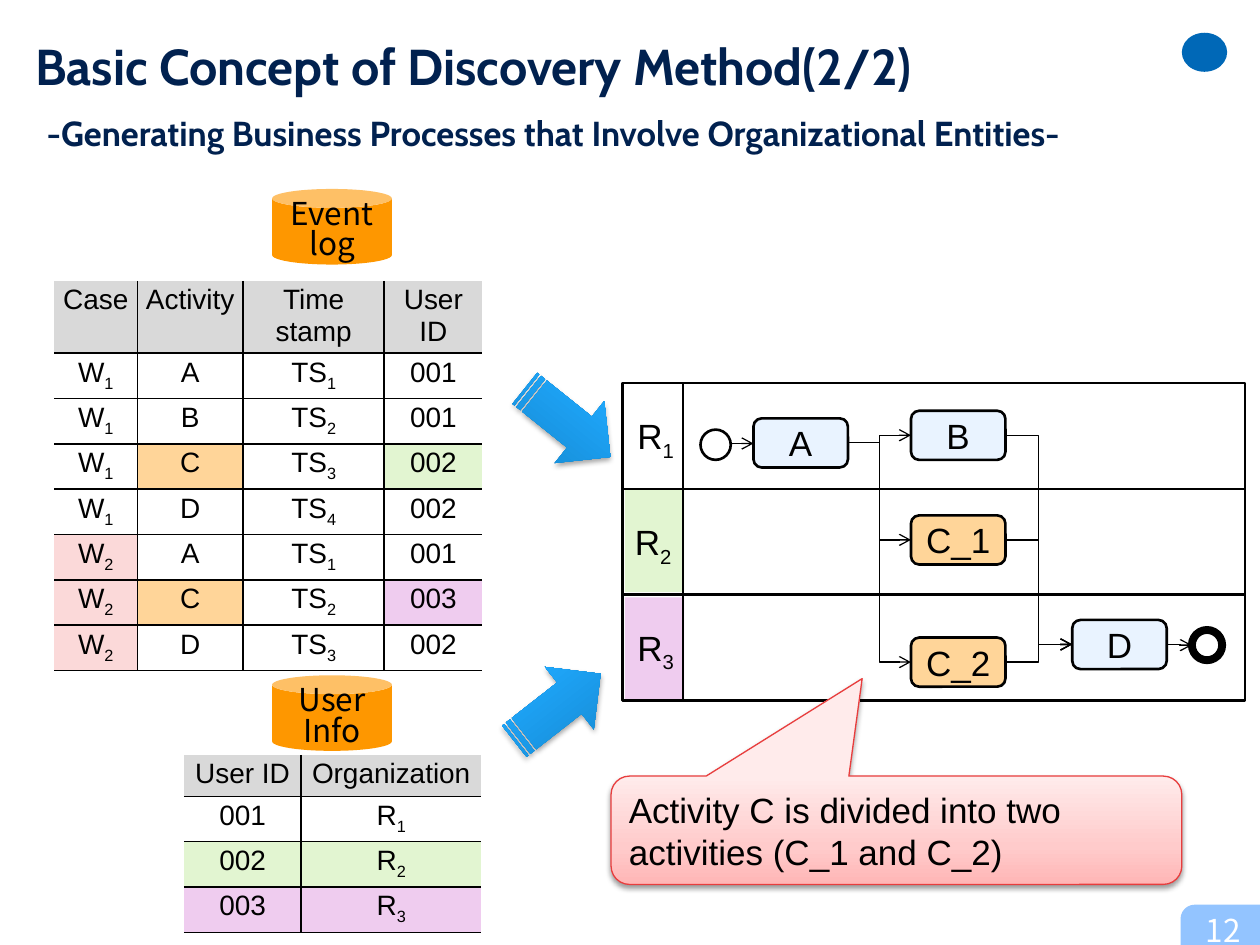
"""Build a slide on discovering business processes with organizational entities."""
from dataclasses import dataclass

from lxml import etree
from pptx import Presentation
from pptx.dml.color import RGBColor
from pptx.enum.shapes import MSO_CONNECTOR, MSO_SHAPE
from pptx.enum.text import MSO_ANCHOR, MSO_AUTO_SIZE, PP_ALIGN
from pptx.oxml.ns import qn
from pptx.util import Inches, Pt

CENTER, LEFT = PP_ALIGN.CENTER, PP_ALIGN.LEFT
TOP, BOTTOM = MSO_ANCHOR.TOP, MSO_ANCHOR.BOTTOM
NO_FIT = MSO_AUTO_SIZE.NONE
STRAIGHT, ELBOW = MSO_CONNECTOR.STRAIGHT, MSO_CONNECTOR.ELBOW
BOX, CIRCLE = MSO_SHAPE.ROUNDED_RECTANGLE, MSO_SHAPE.FLOWCHART_CONNECTOR
RECT, CAN, OVAL = MSO_SHAPE.RECTANGLE, MSO_SHAPE.CAN, MSO_SHAPE.OVAL
ARROW, CALLOUT = MSO_SHAPE.STRIPED_RIGHT_ARROW, MSO_SHAPE.ROUNDED_RECTANGULAR_CALLOUT
CORNER = MSO_SHAPE.ROUND_1_RECTANGLE
BLACK, WHITE, GRAY, NAVY = "000000", "FFFFFF", "D9D9D9", "01214F"
BLUE, ORANGE, GREEN, PURPLE, PINK = "E9F3FF", "FFD599", "E2F5D1", "EFCCEF", "FBD9D9"
SANS, HEAD, CJK = "Arial", "Cabin", "Noto Sans CJK JP"
PLAIN_TABLE = "{2D5ABB26-0587-4C30-8999-92F81FD0307C}"


@dataclass
class Node:
    x: float
    y: float
    w: float = 0.75
    h: float = 0.39
    text: str = ""
    fill: str = BLUE
    shape: int = BOX
    line: float = 1.5

    @property
    def mid(self):
        return self.y + self.h / 2


@dataclass
class Grid:
    x: float
    y: float
    cols: list
    head: float
    rows: list
    fills: dict


NODES = {
    "start": Node(5.56, 3.41, 0.24, 0.24, fill="", shape=CIRCLE),
    "A": Node(5.98, 3.32, text="A"),
    "B": Node(7.23, 3.26, text="B"),
    "C_1": Node(7.23, 4.09, text="C_1", fill=ORANGE),
    "C_2": Node(7.23, 5.06, text="C_2", fill=ORANGE),
    "D": Node(8.51, 4.92, text="D"),
    "end": Node(9.46, 5, 0.24, 0.24, fill="", shape=CIRCLE, line=4.5),
}
FLOWS = [("A", "B"), ("A", "C_1"), ("A", "C_2"), ("B", "D"), ("C_1", "D"),
         ("C_2", "D"), ("D", "end")]
EVENTS = Grid(0.43, 2.23, [0.66, 0.84, 1.12, 0.78], 0.57, [
    ["Case", "Activity", "Time stamp", "User ID"],
    ["W|1", "A", "TS|1", "001"],
    ["W|1", "B", "TS|2", "001"],
    ["W|1", "C", "TS|3", "002"],
    ["W|1", "D", "TS|4", "002"],
    ["W|2", "A", "TS|1", "001"],
    ["W|2", "C", "TS|2", "003"],
    ["W|2", "D", "TS|3", "002"],
], {(3, 1): ORANGE, (3, 3): GREEN, (5, 0): PINK, (6, 0): PINK, (6, 1): ORANGE,
    (6, 3): PURPLE, (7, 0): PINK})
USERS = Grid(1.46, 5.99, [0.93, 1.43], 0.33, [
    ["User ID", "Organization"], ["001", "R|1"], ["002", "R|2"], ["003", "R|3"],
], {(2, 0): GREEN, (2, 1): GREEN, (3, 0): PURPLE, (3, 1): PURPLE})


def rgb(color: str) -> RGBColor:
    return RGBColor.from_string(color)


def box(*lengths: float) -> list:
    return [Inches(v) for v in lengths]


def add_run(p, text: str, size: float, font=SANS, color=BLACK, bold=False):
    r = p.add_run()
    r.text = text
    r.font.size, r.font.name, r.font.bold = Pt(size), font, bold
    r.font.color.rgb = rgb(color)
    return r


def write(p, text: str, size: float, font=SANS, color=BLACK, align=CENTER):
    base, _, sub = text.partition("|")
    p.alignment = align
    add_run(p, base, size, font, color)
    if sub:
        r = add_run(p, sub, size, font, color)
        r._r.get_or_add_rPr().set("baseline", "-25000")


def add_shape(s, kind, at, fill="", line="", width=0.75):
    sp = s.shapes.add_shape(kind, *box(*at))
    sp.shadow.inherit = False
    if fill:
        sp.fill.solid()
        sp.fill.fore_color.rgb = rgb(fill)
    else:
        sp.fill.background()
    if line:
        sp.line.color.rgb, sp.line.width = rgb(line), Pt(width)
    else:
        sp.line.fill.background()
    return sp


def add_gloss(sp, stops: list, alpha: int, dist: float):
    sp.fill.gradient()
    sp.fill.gradient_angle = 90
    spPr = sp._element.spPr
    gs_list = spPr.find(qn("a:gradFill")).find(qn("a:gsLst"))
    gs_list[:] = []
    for pos, color in stops:
        gs = etree.SubElement(gs_list, qn("a:gs"), pos=str(pos * 1000))
        etree.SubElement(gs, qn("a:srgbClr"), val=color)
    shadow = etree.SubElement(spPr.find(qn("a:effectLst")), qn("a:outerShdw"),
                              blurRad=str(Pt(3.1)), dist=str(Pt(dist)),
                              dir="5400000", rotWithShape="0")
    clr = etree.SubElement(shadow, qn("a:srgbClr"), val=BLACK)
    etree.SubElement(clr, qn("a:alpha"), val=str(alpha * 1000))


def add_line(s, kind, x1, y1, x2, y2, width=0.75, arrow=True):
    c = s.shapes.add_connector(kind, *box(x1, y1, x2, y2))
    c.line.color.rgb, c.line.width = rgb(BLACK), Pt(width)
    if arrow:
        etree.SubElement(c.line._get_or_add_ln(), qn("a:tailEnd"), type="arrow")
    etree.SubElement(c._element.spPr, qn("a:effectLst"))


def add_border(cell, side: str):
    ln = etree.Element(qn(f"a:{side}"), w=str(Pt(1)))
    fill = etree.SubElement(ln, qn("a:solidFill"))
    etree.SubElement(fill, qn("a:srgbClr"), val=BLACK)
    tcPr = cell._tc.get_or_add_tcPr()
    tcPr.insert(len(tcPr.findall("*")) - 1, ln)


def add_grid(s, g: Grid):
    heights = [g.head] + [0.36] * (len(g.rows) - 1)
    tbl = s.shapes.add_table(len(g.rows), len(g.cols),
                             *box(g.x, g.y, sum(g.cols), sum(heights))).table
    tbl._tbl.tblPr.find(qn("a:tableStyleId")).text = PLAIN_TABLE
    for col, w in zip(tbl.columns, g.cols):
        col.width = Inches(w)
    for i, (row, h) in enumerate(zip(g.rows, heights)):
        tbl.rows[i].height = Inches(h)
        for j, text in enumerate(row):
            cell = tbl.cell(i, j)
            cell.margin_left = cell.margin_right = Inches(0.04)
            cell.margin_top, cell.margin_bottom = box(0.03, 0.01)
            cell.fill.solid()
            cell.fill.fore_color.rgb = rgb(g.fills.get((i, j), WHITE if i else GRAY))
            sides = [("lnL", j > 0), ("lnR", j < len(row) - 1), ("lnT", i > 0), ("lnB", True)]
            for side in [name for name, shown in sides if shown]:
                add_border(cell, side)
            write(cell.text_frame.paragraphs[0], text, 16)


def add_text(s, at, text, size, font=SANS, color=BLACK, align=LEFT):
    tf = s.shapes.add_textbox(*box(*at)).text_frame
    write(tf.paragraphs[0], text, size, font, color, align)
    return tf


def add_title(s):
    sp = s.shapes.title
    sp.left, sp.top, sp.width, sp.height = box(0.28, 0.23, 9.43, 1.18)
    tf = sp.text_frame
    tf.margin_left = tf.margin_right = 0
    tf.auto_size, tf.vertical_anchor = NO_FIT, TOP
    p = tf.paragraphs[0]
    p.alignment = LEFT
    add_run(p, "Basic Concept of Discovery Method(2/2)", 28.8, HEAD, NAVY, True)
    p.add_line_break()
    add_run(p, " ", 28.8, HEAD, NAVY, True)
    add_run(p, "-Generating Business Processes that Involve Organizational Entities-",
            19.8, HEAD, NAVY, True)


def add_lanes(s):
    for y, fill in ((4.74, PURPLE), (3.88, GREEN)):
        add_shape(s, RECT, (4.96, y, 0.47, 0.82), fill)
    for i, x in enumerate((4.96, 4.94, 4.96)):
        y = 3.04 + 0.84 * i
        add_shape(s, RECT, (4.94, y, 4.94, 0.84), "", BLACK, 1.5)
        add_text(s, (x, y + 0.2, 0.51, 0.44), f"R|{i + 1}", 20).word_wrap = False
    add_line(s, STRAIGHT, 5.42, 3.04, 5.42, 5.55, 1.5, False)


def add_process(s):
    for n in NODES.values():
        sp = add_shape(s, n.shape, (n.x, n.y, n.w, n.h), n.fill, BLACK, n.line)
        if n.text:
            write(sp.text_frame.paragraphs[0], n.text, 20)
    for a, b in FLOWS:
        a, b = NODES[a], NODES[b]
        add_line(s, ELBOW, a.x + a.w, a.mid, b.x, b.mid)
    add_line(s, STRAIGHT, 5.8, 3.52, 5.98, 3.52)


def main():
    prs = Presentation()
    prs.slide_width, prs.slide_height = box(10, 7.5)
    s = prs.slides.add_slide(prs.slide_layouts[5])
    corner = add_shape(s, CORNER, (9.37, 7.18, 0.63, 0.32), "93C4FF")
    corner.adjustments[0] = 0.35
    corner._element.spPr.xfrm.set("flipH", "1")
    add_shape(s, OVAL, (9.38, 0.26, 0.36, 0.31), "0068B7")
    tf = add_text(s, (9.4, 7.08, 0.62, 0.45), "12", 18, CJK, WHITE, CENTER)
    tf.margin_left = tf.margin_right = tf.margin_top = tf.margin_bottom = 0
    tf.word_wrap, tf.vertical_anchor = True, BOTTOM
    add_title(s)
    add_grid(s, EVENTS)
    add_grid(s, USERS)
    add_lanes(s)
    add_process(s)
    for y, lines in ((1.5, ["Event log"]), (5.36, ["User", "Info"])):
        tf = add_shape(s, CAN, (2.16, y, 0.95, 0.6), "FE9700").text_frame
        for i, text in enumerate(lines):
            p = tf.add_paragraph() if i else tf.paragraphs[0]
            p.line_spacing = 0.8
            write(p, text, 18, CJK)
    for x, y, angle in ((4.07, 3.04, 38.7), (3.99, 5.3, 322)):
        sp = add_shape(s, ARROW, (x, y, 0.87, 0.63))
        sp.rotation = angle
        add_gloss(sp, [(0, "1384CA"), (80, "20AAFF"), (100, "21AAFF")], 35, 1.8)
    sp = add_shape(s, CALLOUT, (4.85, 6.16, 4.53, 0.86), "", "E83D3D")
    for i, value in enumerate((-0.06, -1.4, 0.17)):
        sp.adjustments[i] = value
    add_gloss(sp, [(0, "FFB6B6"), (35, "FFCBCB"), (100, "FFEBEB")], 38, 1.6)
    write(sp.text_frame.paragraphs[0],
          "Activity C is divided into two activities (C_1 and C_2)", 20, align=LEFT)
    prs.save("out.pptx")


if __name__ == "__main__":
    main()
